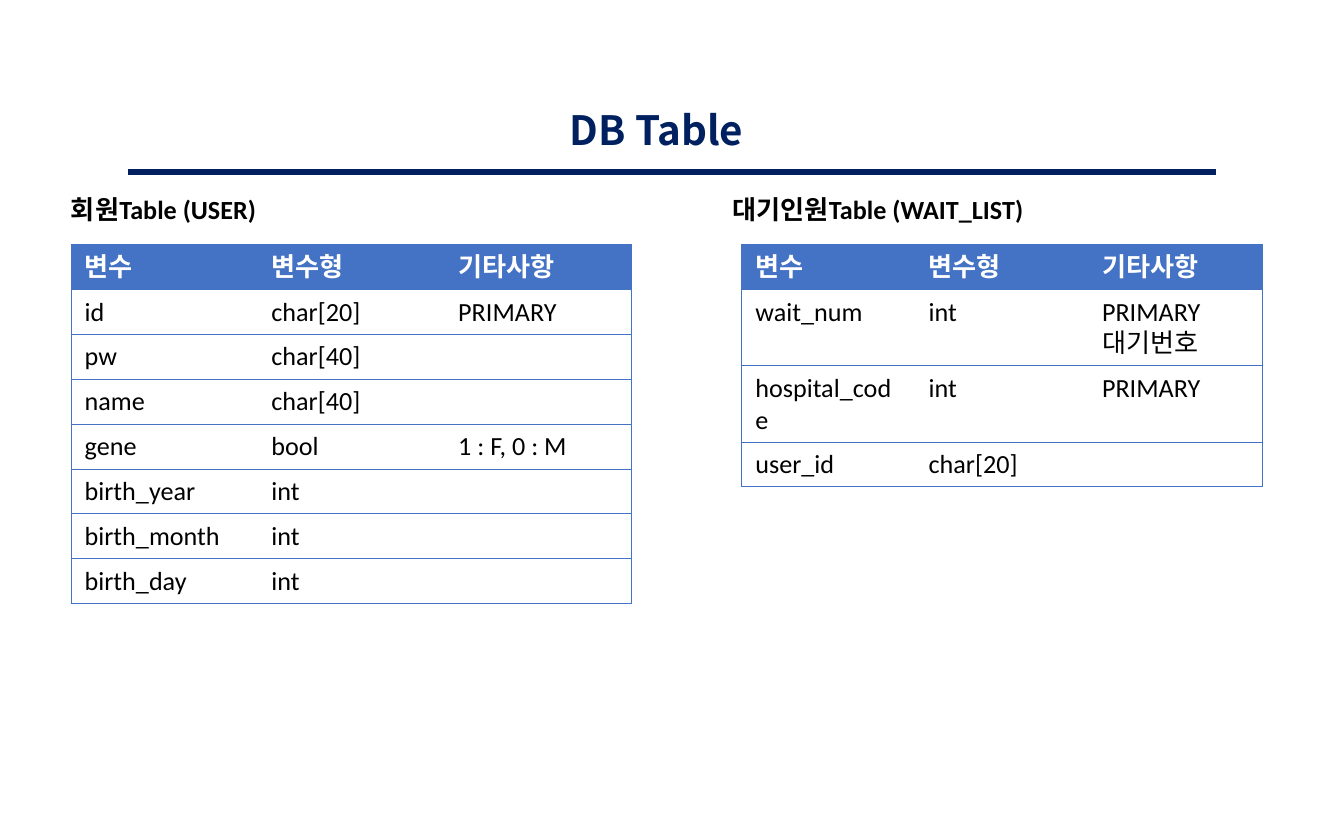
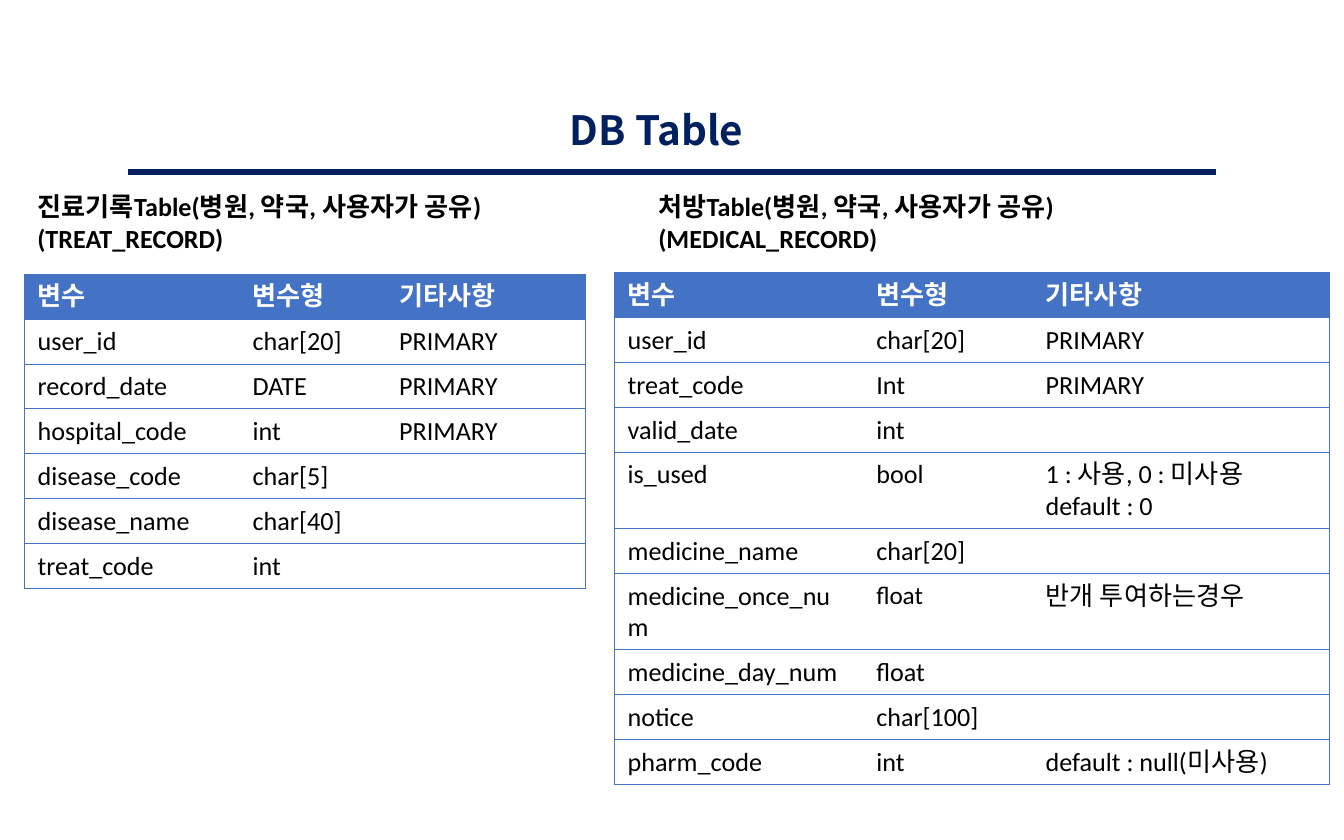
from dataclasses import dataclass, field

from lxml import etree
from pptx import Presentation
from pptx.dml import color
from pptx.enum import shapes, text
from pptx.oxml import ns
from pptx.util import Inches, Pt


@dataclass(frozen=True)
class Theme:
    navy: str = "002060"
    blue: str = "4472C4"
    black: str = "000000"
    white: str = "FFFFFF"
    title_font: str = "Noto Sans CJK KR"
    body_font: str = "Calibri"
    title_size: float = 21.6
    body_size: float = 14
    rule_width: float = 3
    border_width: float = 0.5
    row_height: float = 0.33
    plain_table: str = "{2D5ABB26-0587-4C30-8999-92F81FD0307C}"


THEME = Theme()
TITLE = "DB Table"
HEADER = ("변수", "변수형", "기타사항")


@dataclass(frozen=True)
class Schema:
    heading: str
    heading_at: tuple[float, float, float, float]
    table_at: tuple[float, float]
    columns: tuple[float, ...]
    rows: list[tuple[str, str, str]]
    sizes: dict[tuple[int, int], float] = field(default_factory=dict)


USER = Schema(
    "회원Table (USER)", (0.43, 1.39, 2.97, 0.34), (0.53, 1.82), (1.39,) * 3,
    [
        ("id", "char[20]", "PRIMARY"),
        ("pw", "char[40]", ""),
        ("name", "char[40]", ""),
        ("gene", "bool", "1 : F, 0 : M"),
        ("birth_year", "int", ""),
        ("birth_month", "int", ""),
        ("birth_day", "int", ""),
    ],
)
WAIT_LIST = Schema(
    "대기인원Table (WAIT_LIST)", (5.35, 1.39, 2.76, 0.34), (5.52, 1.82), (1.29,) * 3,
    [
        ("wait_num", "int", "PRIMARY\n대기번호"),
        ("hospital_code", "int", "PRIMARY"),
        ("user_id", "char[20]", ""),
    ],
)
TREAT_RECORD = Schema(
    "진료기록Table(병원, 약국, 사용자가 공유)\n(TREAT_RECORD)",
    (0.18, 1.37, 4.5, 0.57), (0.18, 2.04), (1.6, 1.09, 1.49),
    [
        ("user_id", "char[20]", "PRIMARY"),
        ("record_date", "DATE", "PRIMARY"),
        ("hospital_code", "int", "PRIMARY"),
        ("disease_code", "char[5]", ""),
        ("disease_name", "char[40]", ""),
        ("treat_code", "int", ""),
    ],
)
MEDICAL_RECORD = Schema(
    "처방Table(병원, 약국, 사용자가 공유)\n(MEDICAL_RECORD)",
    (4.8, 1.37, 4.5, 0.57), (4.57, 2.03), (1.85, 1.26, 2.21),
    [
        ("user_id", "char[20]", "PRIMARY"),
        ("treat_code", "Int", "PRIMARY"),
        ("valid_date", "int", ""),
        ("is_used", "bool", "1 : 사용, 0 : 미사용\ndefault : 0"),
        ("medicine_name", "char[20]", ""),
        ("medicine_once_num", "float", "반개 투여하는경우"),
        ("medicine_day_num", "float", ""),
        ("notice", "char[100]", ""),
        ("pharm_code", "int", "default : null(미사용)"),
    ],
    {(6, 1): 13.5},
)
PAGES = [(USER, WAIT_LIST), (TREAT_RECORD, MEDICAL_RECORD)]


def rgb(value: str) -> color.RGBColor:
    return color.RGBColor.from_string(value)


def write(frame, content: str, ink: str, bold: bool,
          size: float = THEME.body_size, font: str = THEME.body_font) -> None:
    frame.text = content
    formats = {"name": font, "size": Pt(size), "bold": bold}
    for para in frame.paragraphs:
        for span in para.runs:
            for name, value in formats.items():
                setattr(span.font, name, value)
            span.font.color.rgb = rgb(ink)
            latin = span.font._element.find(ns.qn("a:latin"))
            latin.addnext(latin.makeelement(ns.qn("a:ea"), {"typeface": font}))
        if not para.runs:
            etree.SubElement(para._p, ns.qn("a:endParaRPr"), sz=str(round(size * 100)))


def add_title(page) -> None:
    box = page.shapes.title
    place = {"left": 4.14, "top": 0.73, "width": 1.53, "height": 0.46}
    for name, value in place.items():
        setattr(box, name, Inches(value))
    write(box.text_frame, TITLE, THEME.navy, True, THEME.title_size, THEME.title_font)
    formats = {"word_wrap": False, "auto_size": text.MSO_AUTO_SIZE.NONE,
               "vertical_anchor": text.MSO_ANCHOR.MIDDLE}
    for name, value in formats.items():
        setattr(box.text_frame, name, value)
    box.text_frame.paragraphs[0].alignment = text.PP_ALIGN.LEFT

    rule = page.shapes.add_connector(
        shapes.MSO_CONNECTOR.STRAIGHT, Inches(0.95), Inches(1.28), Inches(9.05), Inches(1.28))
    rule.line.color.rgb = rgb(THEME.navy)
    rule.line.width = Pt(THEME.rule_width)
    etree.SubElement(rule._element.spPr, ns.qn("a:effectLst"))


def add_border(cell, side: str, visible: bool) -> None:
    line = etree.SubElement(cell._tc.get_or_add_tcPr(), ns.qn(f"a:ln{side}"),
                            w=str(Pt(THEME.border_width)))
    if visible:
        fill = etree.SubElement(line, ns.qn("a:solidFill"))
        etree.SubElement(fill, ns.qn("a:srgbClr"), val=THEME.blue)
    else:
        etree.SubElement(line, ns.qn("a:noFill"))


def add_schema(page, schema: Schema) -> None:
    box = page.shapes.add_textbox(*map(Inches, schema.heading_at))
    box.text_frame.word_wrap = True
    write(box.text_frame, schema.heading, THEME.black, True)

    rows = [HEADER, *schema.rows]
    table = page.shapes.add_table(
        len(rows), len(HEADER), *map(Inches, schema.table_at),
        Inches(sum(schema.columns)), Inches(THEME.row_height * len(rows))).table
    table.horz_banding = False
    table._tbl.tblPr.find(ns.qn("a:tableStyleId")).text = THEME.plain_table
    for column, width in zip(table.columns, schema.columns):
        column.width = Inches(width)
    for r, row in enumerate(rows):
        table.rows[r].height = Inches(THEME.row_height)
        for c, content in enumerate(row):
            cell = table.cell(r, c)
            header = r == 0
            write(cell.text_frame, content, THEME.white if header else THEME.black,
                  header, schema.sizes.get((r, c), THEME.body_size))
            edges = {"L": c == 0, "R": c == len(HEADER) - 1, "T": True, "B": True}
            for side, visible in edges.items():
                add_border(cell, side, visible)
            if header:
                cell.fill.solid()
                cell.fill.fore_color.rgb = rgb(THEME.blue)
            else:
                cell.fill.background()


def main() -> None:
    deck = Presentation()
    deck.slide_width, deck.slide_height = Inches(10), Inches(6.25)
    for schemas in PAGES:
        page = deck.slides.add_slide(deck.slide_layouts.get_by_name("Title Only"))
        add_title(page)
        for schema in schemas:
            add_schema(page, schema)
    deck.save("out.pptx")


if __name__ == "__main__":
    main()
